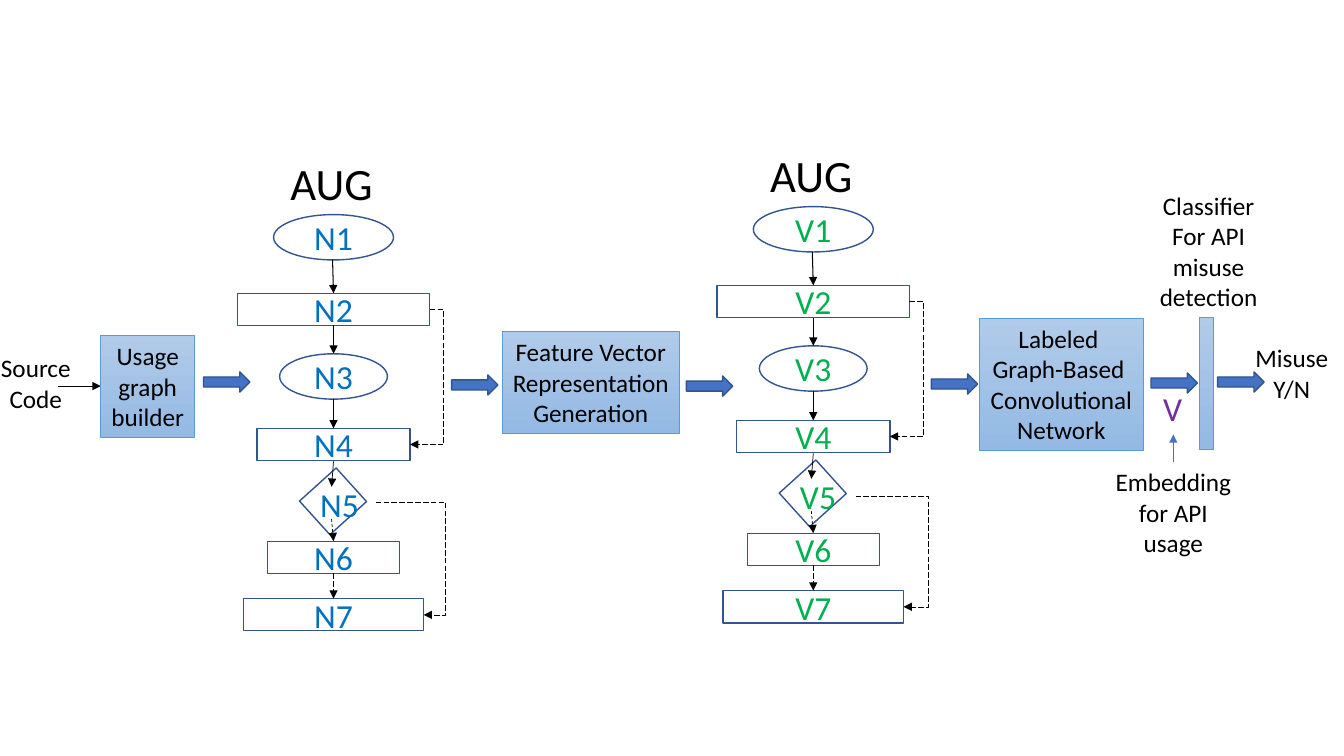
import pptx
import pptx.util
import pptx.dml.color
import pptx.enum.dml
import pptx.enum.shapes
import pptx.enum.text
import pptx.oxml
import pptx.oxml.ns

Pt = pptx.util.Pt
KIND = pptx.enum.shapes.MSO_SHAPE
LINK = pptx.enum.shapes.MSO_CONNECTOR
DASH = pptx.enum.dml.MSO_LINE
ANCHOR = pptx.enum.text.MSO_ANCHOR
ALIGN = pptx.enum.text.PP_ALIGN
FONT = "Calibri"
HUES = {
    "black": "000000", "node": "0070C0", "vector": "00B050", "embed": "7030A0",
    "edge": "325491", "arrow": "4472C4", "rim": "5B9BD5",
    "light": "B1CBE9", "deep": "93B9E4",
}


def hue(name):
    return pptx.dml.color.RGBColor.from_string(HUES[name])


def write(shape, text, size=18, color="black", align=ALIGN.CENTER,
          anchor=ANCHOR.TOP, wrap=True):
    frame = shape.text_frame
    frame.text = text
    frame.word_wrap = wrap
    frame.vertical_anchor = anchor
    for para in frame.paragraphs:
        para.alignment = align
        for run in para.runs:
            run.font.name = FONT
            run.font.size = Pt(size)
            run.font.color.rgb = hue(color)


def label(slide, box, text, **style):
    write(slide.shapes.add_textbox(*map(Pt, box)), text, **style)


def shape(slide, kind, box, line="edge", width=1):
    item = slide.shapes.add_shape(kind, *map(Pt, box))
    item.shadow.inherit = False
    item.fill.background()
    item.line.color.rgb = hue(line)
    item.line.width = Pt(width)
    return item


def link(slide, start, end, width=0.5, dash=None, color="black", bend=None):
    """Arrow from start to end; bend is the x of an elbow's upright part."""
    kind = LINK.STRAIGHT if bend is None else LINK.ELBOW
    item = slide.shapes.add_connector(kind, *map(Pt, start + end))
    item.line.color.rgb = hue(color)
    item.line.width = Pt(width)
    if dash:
        item.line.dash_style = dash
    props = item._element.spPr
    tail = pptx.oxml.parse_xml(
        '<a:tailEnd %s type="triangle"/>' % pptx.oxml.ns.nsdecls("a"))
    item.line._get_or_add_ln().append(tail)
    props.append(pptx.oxml.parse_xml(
        "<a:effectLst %s/>" % pptx.oxml.ns.nsdecls("a")))
    if bend is not None:
        ratio = round((bend - start[0]) / (end[0] - start[0]) * 100000)
        guide = pptx.oxml.parse_xml(
            '<a:gd %s name="adj1" fmla="val %d"/>'
            % (pptx.oxml.ns.nsdecls("a"), ratio))
        props.prstGeom.get_or_add_avLst().append(guide)


def stage(slide, box, text=""):
    item = shape(slide, KIND.RECTANGLE, box, "rim", 0.5)
    item.fill.gradient()
    item.fill.gradient_angle = 270
    for stop, name in zip(item.fill.gradient_stops, ("light", "deep")):
        stop.color.rgb = hue(name)
    if text:
        write(item, text)


def graph(slide, box, mark, color, exit, bend):
    """Usage graph; exit and bend place its lower elbow."""
    left, top, wide, _ = box
    mid = left + wide / 2

    # Steps: number, shape, top, width, height
    steps = [
        (1, KIND.OVAL, 40.3, 85.7, 32.4),
        (2, KIND.RECTANGLE, 96.5, wide, 23),
        (3, KIND.OVAL, 139.7, 77, 32.4),
        (4, KIND.RECTANGLE, 193, 109.4, 23),
        (6, KIND.RECTANGLE, 273.6, 94.3, 23),
        (7, KIND.RECTANGLE, 314.6, 128.9, 23),
    ]
    for num, kind, y, w, h in steps:
        item = shape(slide, kind, (mid - w / 2, top + y, w, h))
        write(item, f"{mark}{num}", 24, color, anchor=ANCHOR.MIDDLE)

    # Branch
    gem = shape(slide, KIND.RECTANGLE, (mid - 16.6, top + 227.5, 32.4, 35.3))
    gem.rotation = 47.9
    label(slide, (mid - 16.6, top + 229, 47.5, 33), f"{mark}5",
          size=24, color=color, align=ALIGN.LEFT)

    # Downward arrows: start x, start y, end x, end y, width, dash
    flows = [
        (-0.7, 72.4, 0, 96.5, 0.75, None),
        (0, 119.5, 0, 139.7, 0.75, None),
        (0, 172.1, 0, 193, 0.75, None),
        (0, 216.5, -1.4, 234.7, 0.5, None),
        (-1.4, 257.8, 0, 273.6, 0.5, DASH.DASH),
        (0, 296.6, 0, 314.6, 0.5, DASH.LONG_DASH),
    ]
    for x1, y1, x2, y2, width, dash in flows:
        link(slide, (mid + x1, top + y1), (mid + x2, top + y2), width, dash)

    # Side elbows
    link(slide, (mid + wide / 2, top + 108), (mid + 54.7, top + 204.5),
         dash=DASH.LONG_DASH, bend=mid + 78.7)
    link(slide, (mid + 30.2, top + exit), (mid + 64.4, top + 326.2),
         dash=DASH.LONG_DASH, bend=mid + bend)

    # Heading
    label(slide, (mid - 38.1, top, 73.4, 34.6), "AUG", size=32,
          anchor=ANCHOR.MIDDLE, wrap=False)


def source(slide, box):
    left, top, wide, high = box
    label(slide, (left, top + 8.6, 81.4, 51.1), "Source\nCode")
    link(slide, (left + 56.9, top + 36), (left + 87.1, top + 36))
    stage(slide, (left + 87.1, top, wide - 87.1, high), "Usage graph builder")


def result(slide, box):
    left, top, _, _ = box
    # Classifier
    stage(slide, (left + 69.8, top + 94.3, 10.1, 94.3))
    label(slide, (left + 33.1, top, 86.4, 94.3),
          "Classifier\nFor API misuse detection ")
    # Embedding
    label(slide, (left + 36.7, top + 141.1, 28.8, 36), "V",
          size=24, color="embed", align=ALIGN.LEFT)
    label(slide, (left, top + 197.3, 102.2, 72.7), "Embedding for API usage")
    link(slide, (left + 51.1, top + 197.3), (left + 51.1, top + 177.8),
         color="arrow")
    # Verdict
    label(slide, (left + 99.4, top + 108.7, 72.7, 51.1), "Misuse\nY/N")


def arrows(slide, spots):
    for x, y in spots:
        item = shape(slide, KIND.RIGHT_ARROW, (x, y, 33.1, 14.4))
        item.fill.solid()
        item.fill.fore_color.rgb = hue("arrow")


deck = pptx.Presentation()
deck.slide_width, deck.slide_height = Pt(960), Pt(540)
page = deck.slides.add_slide(deck.slide_layouts[6])

# Pipeline, left to right
source(page, (-15.1, 239.8, 154.1, 72.7))
graph(page, (169.5, 113, 137.5, 337.6), "N", "node", 245.5, 80.2)
stage(page, (358.6, 236.9, 126.7, 72.7),
      "Feature Vector\nRepresentation \nGeneration")
graph(page, (512.2, 107.3, 137.5, 337.6), "V", "vector", 247, 82.3)
stage(page, (699.8, 227.5, 116.6, 94.3),
      "Labeled \nGraph-Based \nConvolutional \nNetwork")
result(page, (787, 132.5, 172.1, 270))
arrows(page, [(145.4, 265.7), (322.6, 267.8), (490.3, 268.6),
              (665.3, 267.1), (822.2, 266.4), (869.8, 265.7)])

deck.save("out.pptx")
